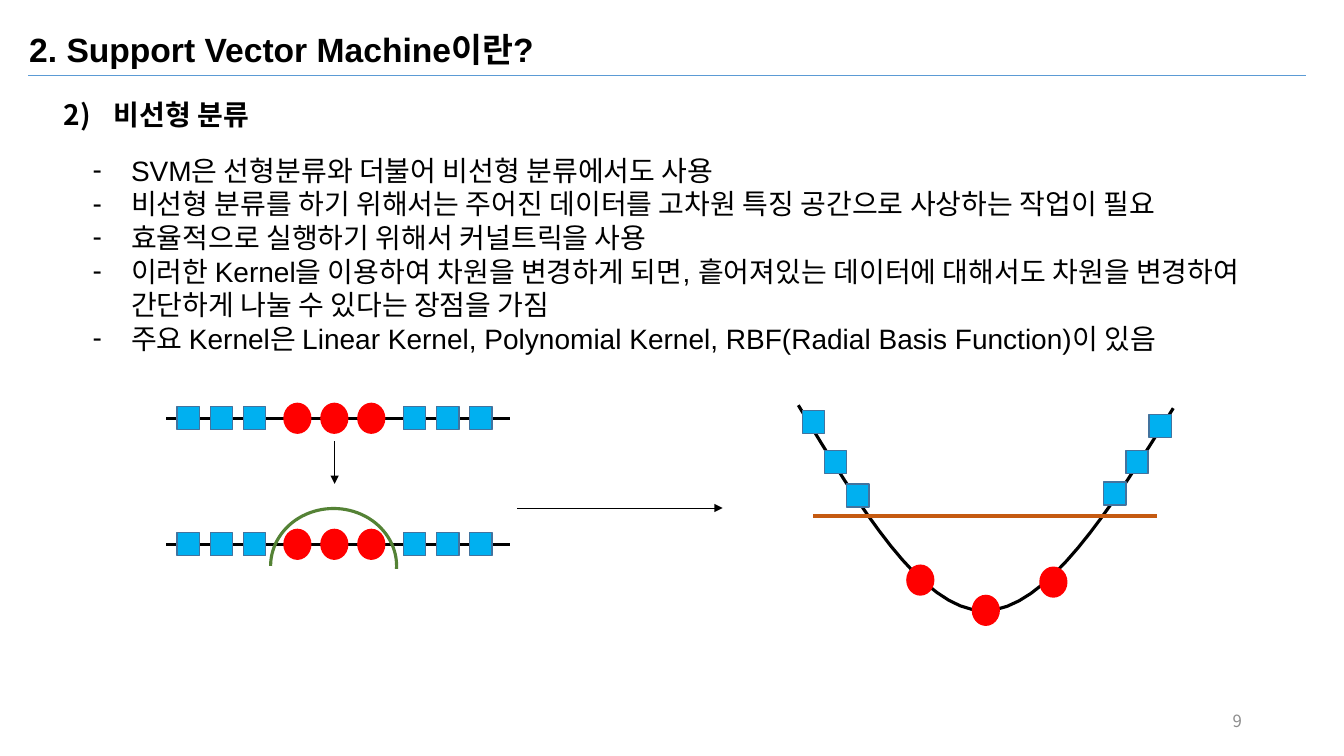
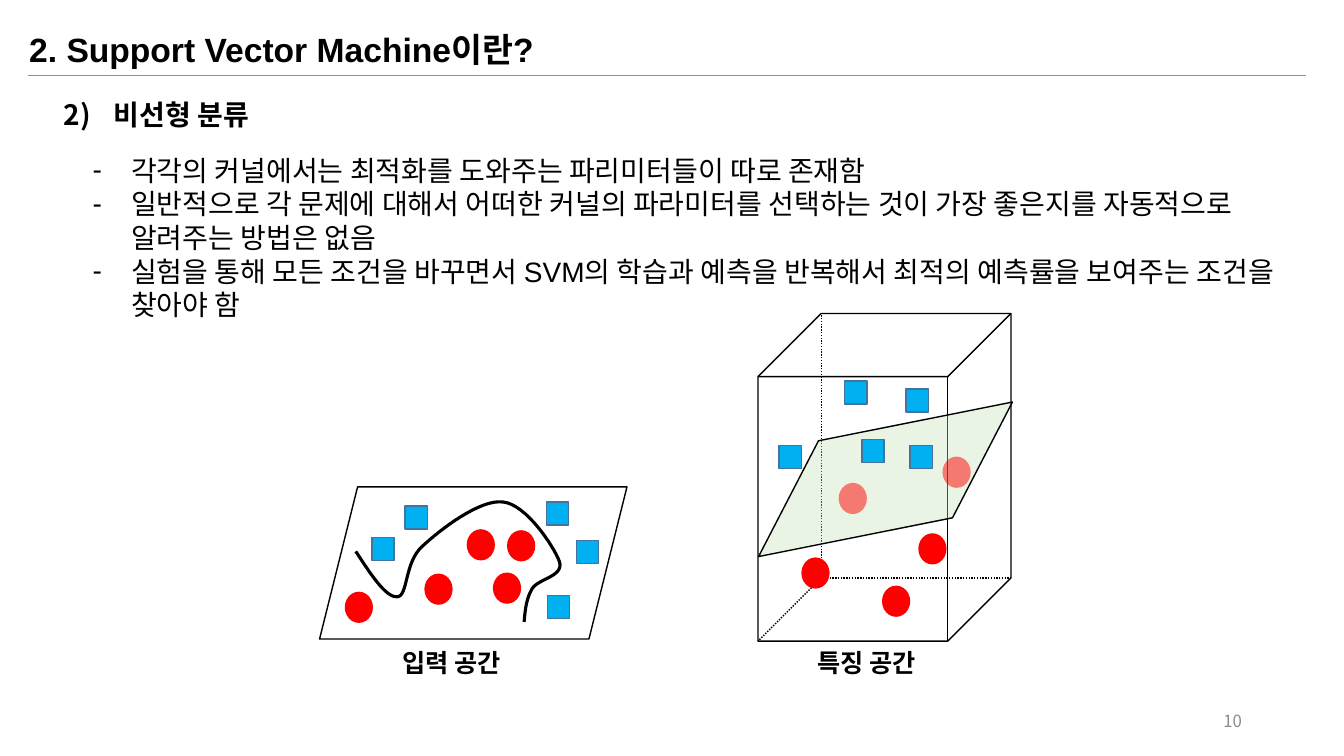
from dataclasses import dataclass

from lxml import etree
from pptx import Presentation
from pptx import util as u
from pptx.dml.color import RGBColor
from pptx.enum import dml, shapes, text
from pptx.oxml import ns

COLORS = {
    "ink": "000000", "rule": "5B9BD5", "number": "8C8C8C", "square": "00B0F0",
    "square_edge": "43739E", "circle": "FF0000", "boundary": "C55A11",
    "arc": "548235", "plane": "C5E0B4",
}
LATIN, KOREAN = "Arial", "Noto Sans CJK KR"
WIDTH, HEIGHT = u.Inches(13.33), u.Inches(7.5)
COLUMN, ROW = WIDTH / 160, HEIGHT / 90
LINE_PITCH = 1.2
SQUARE, CIRCLE = (2.65, 2.75), (3.36, 3.72)
TITLE = "2. Support Vector Machine이란?"
HEADING = "비선형 분류"
KERNEL_POINTS = [
    "SVM은 선형분류와 더불어 비선형 분류에서도 사용",
    "비선형 분류를 하기 위해서는 주어진 데이터를 고차원 특징 공간으로 사상하는 작업이 필요",
    "효율적으로 실행하기 위해서 커널트릭을 사용",
    "이러한 Kernel을 이용하여 차원을 변경하게 되면, 흩어져있는 데이터에 대해서도 차원을 변경하여 "
    "간단하게 나눌 수 있다는 장점을 가짐",
    "주요 Kernel은 Linear Kernel, Polynomial Kernel, RBF(Radial Basis Function)이 있음",
]
PARAMETER_POINTS = [
    "각각의 커널에서는 최적화를 도와주는 파리미터들이 따로 존재함",
    "일반적으로 각 문제에 대해서 어떠한 커널의 파라미터를 선택하는 것이 가장 좋은지를 자동적으로 "
    "알려주는 방법은 없음",
    "실험을 통해 모든 조건을 바꾸면서 SVM의 학습과 예측을 반복해서 최적의 예측률을 보여주는 "
    "조건을 찾아야 함",
]


@dataclass
class Box:
    """A region measured in grid columns and rows."""
    left: float
    top: float
    width: float
    height: float

    def inner(self, left, top, width, height):
        """Return a box placed relative to this one."""
        return Box(self.left + left, self.top + top, width, height)

    def point(self, column, row):
        """Return the slide position of a point inside this box."""
        return round((self.left + column) * COLUMN), round((self.top + row) * ROW)

    def frame(self):
        """Return left, top, width and height as slide lengths."""
        return (*self.point(0, 0), round(self.width * COLUMN), round(self.height * ROW))


PAGE = Box(0, 0, 160, 90)


def color(name):
    """Return the named colour."""
    return RGBColor.from_string(COLORS[name])


def set_bullet(paragraph, indent, font, tag, **attributes):
    """Give a paragraph a hanging bullet or number."""
    properties = paragraph._p.get_or_add_pPr()
    properties.set("marL", str(u.Inches(indent)))
    properties.set("indent", str(-u.Inches(indent)))
    etree.SubElement(properties, ns.qn("a:buFont"), typeface=font)
    etree.SubElement(properties, ns.qn(tag), **attributes)


def write(shape, box, lines, size, bold=False, name="ink", latin=LATIN,
          align=text.PP_ALIGN.LEFT, anchor=text.MSO_ANCHOR.TOP, bullet=None):
    """Place a text shape and fill it with evenly styled paragraphs."""
    shape.left, shape.top, shape.width, shape.height = box.frame()
    frame = shape.text_frame
    frame.word_wrap = True
    frame.auto_size = text.MSO_AUTO_SIZE.NONE
    frame.vertical_anchor = anchor
    frame.text = "\n".join(lines)
    for paragraph in frame.paragraphs:
        paragraph.alignment = align
        paragraph.line_spacing = u.Pt(size * LINE_PITCH)
        paragraph.space_before = paragraph.space_after = u.Pt(0)
        if bullet:
            indent, font, tag, attributes = bullet
            set_bullet(paragraph, indent, font, tag, **attributes)
        font = paragraph.font
        font.size, font.bold, font.name = u.Pt(size), bold, latin
        font.color.rgb = color(name)
        defaults = paragraph._p.pPr.find(ns.qn("a:defRPr"))
        etree.SubElement(defaults, ns.qn("a:ea"), typeface=KOREAN)


def add_text(slide, box, line, size, **style):
    """Add a text box with one line."""
    write(slide.shapes.add_textbox(*box.frame()), box, [line], size, **style)


def add_line(slide, start, end, width, name="ink", arrow=False, dotted=False):
    """Draw a straight line between two slide positions."""
    connector = slide.shapes.add_connector(shapes.MSO_CONNECTOR.STRAIGHT, *start, *end)
    connector.line.width = u.Pt(width)
    connector.line.color.rgb = color(name)
    if dotted:
        connector.line.dash_style = dml.MSO_LINE.ROUND_DOT
    if arrow:
        etree.SubElement(connector.line._get_or_add_ln(), ns.qn("a:tailEnd"), type="triangle")
    etree.SubElement(connector.element.spPr, ns.qn("a:effectLst"))
    return connector


def paint(shape, fill=None, opacity=100, line=None, width=1):
    """Set the fill and outline of a shape."""
    shape.shadow.inherit = False
    if fill:
        shape.fill.solid()
        shape.fill.fore_color.rgb = color(fill)
        if opacity < 100:
            tint = shape.element.spPr.find(".//" + ns.qn("a:srgbClr"))
            etree.SubElement(tint, ns.qn("a:alpha"), val=str(opacity * 1000))
    else:
        shape.fill.background()
    if line:
        shape.line.color.rgb = color(line)
        shape.line.width = u.Pt(width)
    else:
        shape.line.fill.background()


def add_preset(slide, kind, box, **style):
    """Add a painted preset shape."""
    shape = slide.shapes.add_shape(kind, *box.frame())
    paint(shape, **style)
    return shape


def add_squares(slide, box, centers):
    """Draw the blue class around the given centres."""
    width, height = SQUARE
    for column, row in centers:
        add_preset(slide, shapes.MSO_SHAPE.RECTANGLE,
                   box.inner(column - width / 2, row - height / 2, width, height),
                   fill="square", line="square_edge")


def add_circles(slide, box, centers, opacity=100):
    """Draw the red class around the given centres."""
    width, height = CIRCLE
    for column, row in centers:
        add_preset(slide, shapes.MSO_SHAPE.OVAL,
                   box.inner(column - width / 2, row - height / 2, width, height),
                   fill="circle", opacity=opacity)


def add_curve(slide, box, controls, steps=16):
    """Draw a chain of cubic Bézier curves."""
    points = [box.point(*controls[0])]
    for first in range(0, len(controls) - 1, 3):
        corners = controls[first:first + 4]
        for step in range(1, steps + 1):
            t = step / steps
            weights = ((1 - t) ** 3, 3 * t * (1 - t) ** 2, 3 * t * t * (1 - t), t ** 3)
            points.append(box.point(*(sum(w * c[axis] for w, c in zip(weights, corners))
                                      for axis in (0, 1))))
    builder = slide.shapes.build_freeform(*points[0], scale=1.0)
    builder.add_line_segments(points[1:], close=False)
    paint(builder.convert_to_shape(), line="ink", width=2.25)


def add_number_line(slide, box):
    """Draw both classes along one axis."""
    add_line(slide, box.point(0, 0), box.point(box.width, 0), 2.25)
    for start in (2.6, 29.55):
        add_squares(slide, box, [(start + 3.95 * i, 0) for i in range(3)])
    add_circles(slide, box, [(15.6 + 4.4 * i, 0) for i in range(3)])


def add_arc(slide, box):
    """Draw the half ellipse that encloses the red class."""
    arc = add_preset(slide, shapes.MSO_SHAPE.ARC, box, line="arc", width=2.25)
    arc.adjustments[0], arc.adjustments[1] = 108, 1.6


def add_parabola(slide, box):
    """Draw the lifted data with its separating line."""
    add_curve(slide, box, [(0, 0), (7.32, 12.12), (14.64, 24.36), (22.08, 24.48),
                           (29.52, 24.48), (37.08, 12.48), (44.64, 0.36)])
    add_line(slide, box.point(1.8, 13.2), box.point(42.72, 13.2), 2.25, "boundary")
    add_squares(slide, box, [(1.8, 2), (4.44, 6.78), (7.08, 10.74),
                             (43.08, 2.46), (40.32, 6.78), (37.68, 10.5)])
    add_circles(slide, box, [(22.32, 24.42), (30.36, 21.06), (14.52, 20.82)])


def add_caption(slide, box, line):
    """Write the bold name of a space."""
    add_text(slide, box, line, 18, bold=True, latin=KOREAN)


def add_input_space(slide, box):
    """Draw the flat input space with its curved boundary."""
    add_preset(slide, shapes.MSO_SHAPE.PARALLELOGRAM, box, line="ink")
    add_squares(slide, box, [(11.52, 3.66), (7.56, 7.38), (28.32, 3.18),
                             (31.92, 7.74), (28.44, 14.34)])
    add_circles(slide, box, [(4.68, 14.34), (14.16, 12.18), (22.32, 12.06),
                             (19.2, 6.9), (24, 7.02)])
    add_curve(slide, box, [
        (4.32, 7.68), (6.12, 10.44), (7.92, 13.2), (9.24, 13.08),
        (10.56, 13.08), (10.08, 9), (12.24, 7.08),
        (14.28, 5.16), (19.08, 1.44), (21.84, 1.8),
        (24.6, 2.04), (27.96, 7.2), (28.56, 8.88),
        (29.16, 10.68), (26.04, 10.92), (25.32, 12.12),
        (24.6, 13.32), (24.48, 14.76), (24.36, 16.08)])
    add_caption(slide, box.inner(8.64, box.height + 0.36, 15.72, 4.8), "입력 공간")


def add_feature_space(slide, box):
    """Draw the cube with its separating plane."""
    add_preset(slide, shapes.MSO_SHAPE.CUBE, box, line="ink")
    depth = box.width / 4
    corner = depth, box.height - depth
    for end in ((0, box.height), (depth, 0), (box.width, corner[1])):
        add_line(slide, box.point(*corner), box.point(*end), 1, dotted=True)
    plane = add_preset(slide, shapes.MSO_SHAPE.PARALLELOGRAM,
                       box.inner(-1.44, 13.68, 33.24, 12.12),
                       fill="plane", opacity=35, line="ink")
    plane.adjustments[0] = 0.8
    plane.rotation = 348.7
    add_squares(slide, box, [(11.64, 9.42), (18.96, 10.38), (13.68, 16.38),
                             (19.44, 17.1), (3.84, 17.1)])
    add_circles(slide, box, [(23.64, 18.9), (11.28, 22.02)], opacity=50)
    add_circles(slide, box, [(20.76, 28.02), (6.84, 30.9), (16.44, 34.26)])
    add_caption(slide, box.inner(5.88, box.height + 0.12, 15.72, 4.8), "특징 공간")


def add_slide(presentation, points, number):
    """Add a slide with title, heading, list and page number."""
    slide = presentation.slides.add_slide(presentation.slide_layouts[3])
    heading, body = list(slide.placeholders)[1:3]
    write(slide.shapes.title, Box(2.28, 2.88, 109.8, 6), [TITLE], 24, bold=True)
    write(heading, Box(6.36, 11.04, 109.8, 5.28), [HEADING], 20, bold=True,
          bullet=(0.5, KOREAN, "a:buAutoNum", {"type": "arabicParenR", "startAt": "2"}))
    write(body, Box(9.84, 17.64, 145.08, 27), points, 20,
          bullet=(0.38, LATIN, "a:buChar", {"char": "-"}))
    add_text(slide, Box(113.04, 83.4, 36, 4.8), str(number), 12, name="number",
             latin=KOREAN, align=text.PP_ALIGN.RIGHT, anchor=text.MSO_ANCHOR.MIDDLE)
    return slide


def add_title_rule(slide):
    """Put the line below the title on the shared layout."""
    rule = add_line(slide, PAGE.point(3.36, 9), PAGE.point(155.52, 9), 0.5, "rule")
    slide.slide_layout.shapes.element.append(rule.element)


def main():
    """Build and save the two slides."""
    presentation = Presentation()
    presentation.slide_width, presentation.slide_height = WIDTH, HEIGHT

    slide = add_slide(presentation, KERNEL_POINTS, 9)
    add_title_rule(slide)
    for top in (49.8, 64.8):
        add_number_line(slide, Box(19.8, top, 40.92, 0))
    add_arc(slide, Box(32.22, 60.54, 15, 13.68))
    add_line(slide, PAGE.point(39.84, 52.56), PAGE.point(39.84, 57.6), 0.5, arrow=True)
    add_line(slide, PAGE.point(61.56, 60.48), PAGE.point(86.04, 60.48), 0.5, arrow=True)
    add_parabola(slide, Box(95.04, 48.24, 44.64, 24.48))

    slide = add_slide(presentation, PARAMETER_POINTS, 10)
    add_input_space(slide, Box(38.04, 57.96, 36.6, 18.12))
    add_feature_space(slide, Box(90.24, 37.32, 30.12, 39))

    presentation.save("out.pptx")


if __name__ == "__main__":
    main()
